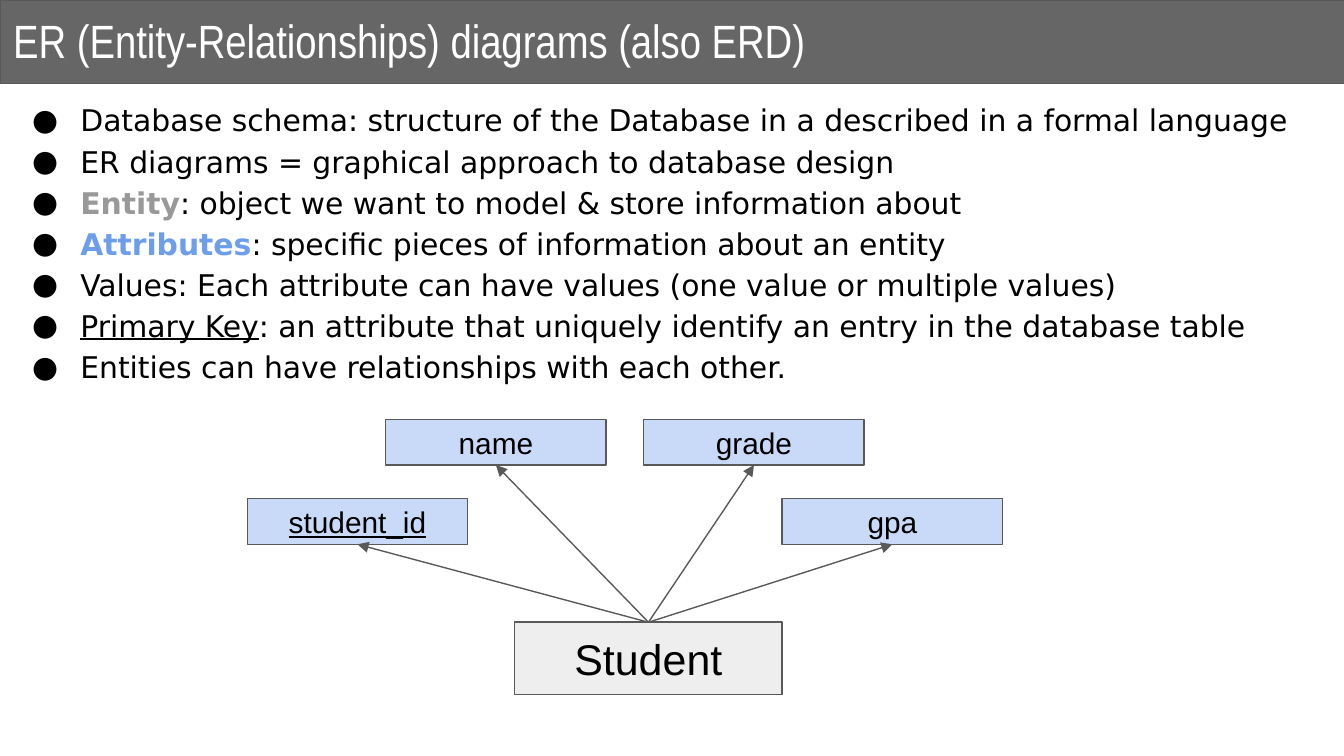
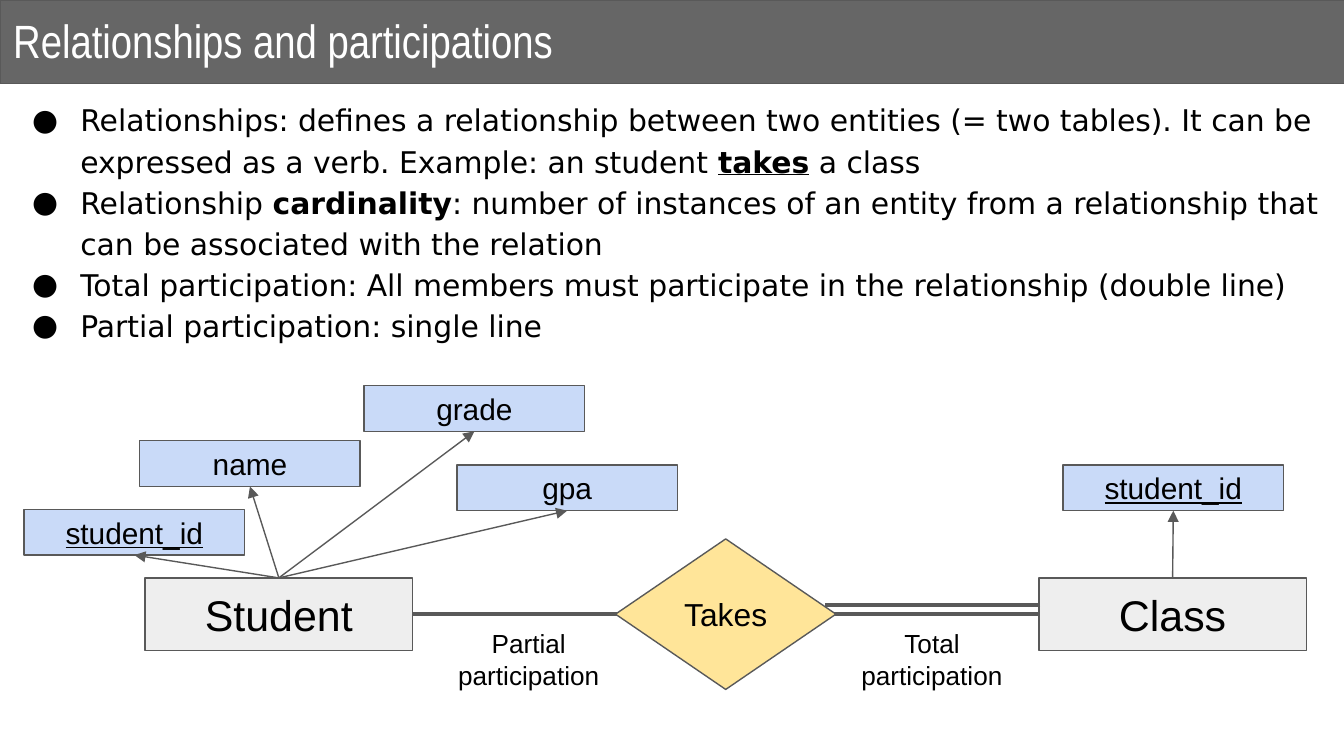
from lxml.etree import SubElement
from pptx import Presentation
from pptx.dml.color import RGBColor
from pptx.enum.shapes import MSO_CONNECTOR, MSO_SHAPE
from pptx.enum.text import MSO_ANCHOR, PP_ALIGN
from pptx.oxml.ns import qn
from pptx.util import Inches, Pt

BLACK = RGBColor(0x00, 0x00, 0x00)
WHITE = RGBColor(0xFF, 0xFF, 0xFF)
BAND_GRAY = RGBColor(0x66, 0x66, 0x66)
LINE_GRAY = RGBColor(0x59, 0x59, 0x59)
ENTITY_GRAY = RGBColor(0xEE, 0xEE, 0xEE)
ATTRIBUTE_BLUE = RGBColor(0xC9, 0xDA, 0xF8)
RELATION_YELLOW = RGBColor(0xFF, 0xE5, 0x99)
ENTITY_WORD = RGBColor(0x99, 0x99, 0x99)
ATTRIBUTE_WORD = RGBColor(0x6D, 0x9E, 0xEB)

BODY_FONT = "DejaVu Sans"
TOP, LEFT, BOTTOM, RIGHT = range(4)  # connection sites of a rectangle
ENTITY_SIZE = (1.99, 0.54)
ATTRIBUTE_SIZE = (1.64, 0.34)
KEY = "student_id"


def add_box(shapes, place, text="", size=16, fill=None, kind=MSO_SHAPE.RECTANGLE,
            font="Arial", color=BLACK, align=PP_ALIGN.CENTER):
    """Add an outlined shape with centred text, or a plain text box if there is no fill."""
    left, top, width, height = map(Inches, place)
    if fill is None:
        box = shapes.add_textbox(left, top, width, height)
    else:
        box = shapes.add_shape(kind, left, top, width, height)
        box.shadow.inherit = False
        box.fill.solid()
        box.fill.fore_color.rgb = fill
        box.line.color.rgb = LINE_GRAY
        box.line.width = Pt(0.75)
    frame = box.text_frame
    frame.word_wrap = True
    frame.vertical_anchor = MSO_ANCHOR.TOP if fill is None else MSO_ANCHOR.MIDDLE
    frame.margin_left = frame.margin_right = Inches(0.1)
    frame.margin_top = frame.margin_bottom = Inches(0.1)
    if text:
        paragraph = frame.paragraphs[0]
        paragraph.text = text
        paragraph.alignment = align
        paragraph.font.size = Pt(size)
        paragraph.font.name = font
        paragraph.font.color.rgb = color
        paragraph.font.underline = text == KEY
    return box


def add_line(shapes, start=(0, 0), end=(0, 0), width=2.25, arrow=False):
    line = shapes.add_connector(MSO_CONNECTOR.STRAIGHT, *map(Inches, start + end))
    line.line.color.rgb = LINE_GRAY
    line.line.width = Pt(width)
    if arrow:
        SubElement(line._element.spPr.find(qn("a:ln")), qn("a:tailEnd"), type="triangle")
    SubElement(line._element.spPr, qn("a:effectLst"))
    return line


# Each bullet is a list of runs: text, then optional font settings
slides = [
    {
        "title": "ER (Entity-Relationships) diagrams (also ERD)",
        "bullets_height": 2.24,
        "bullets": [
            [("Database schema: structure of the Database in a described in a formal language", {})],
            [("ER diagrams = graphical approach to database design", {})],
            [("Entity", {"bold": True, "color": ENTITY_WORD}),
             (": object we want to model & store information about", {})],
            [("Attributes", {"bold": True, "color": ATTRIBUTE_WORD}),
             (": specific pieces of information about an entity", {})],
            [("Values: Each attribute can have values (one value or multiple values)", {})],
            [("Primary Key", {"underline": True}),
             (": an attribute that uniquely identify an entry in the database table", {})],
            [("Entities can have relationships with each other.", {})],
        ],
        "entities": [
            ("Student", (3.83, 4.63), [("name", (2.87, 3.12)), ("grade", (4.79, 3.12)),
                                       ("gpa", (5.82, 3.71)), (KEY, (1.84, 3.71))]),
        ],
    },
    {
        "title": "Relationships and participations",
        "bullets_height": 2.06,
        "bullets": [
            [("Relationships: defines a relationship between two entities (= two tables). "
              "It can be expressed as a verb. Example: an student ", {}),
             ("takes", {"bold": True, "underline": True}), (" a class", {})],
            [("Relationship ", {}), ("cardinality", {"bold": True}),
             (": number of instances of an entity from a relationship that can be "
              "associated with the relation", {})],
            [("Total participation: All members must participate in the relationship "
              "(double line)", {})],
            [("Partial participation: single line", {})],
        ],
        "entities": [
            ("Student", (1.08, 4.3), [("name", (1.04, 3.28)), ("grade", (2.71, 2.87)),
                                      ("gpa", (3.4, 3.46)), (KEY, (0.18, 3.79))]),
            ("Class", (7.73, 4.3), [(KEY, (7.91, 3.46))]),
        ],
    },
]

presentation = Presentation()
presentation.slide_width = Inches(10)
presentation.slide_height = Inches(10 * 9 / 16)

for content in slides:
    slide = presentation.slides.add_slide(presentation.slide_layouts[6])
    shapes = slide.shapes

    # Bullets
    body = add_box(shapes, (0, 0.62, 10, content["bullets_height"])).text_frame
    for index, runs in enumerate(content["bullets"]):
        paragraph = body.add_paragraph() if index else body.paragraphs[0]
        paragraph.line_spacing = 1.15
        properties = paragraph._p.get_or_add_pPr()
        properties.set("marL", str(Inches(0.5)))
        properties.set("indent", str(Inches(-0.36)))
        bullet_color = SubElement(properties, qn("a:buClr"))
        SubElement(bullet_color, qn("a:srgbClr"), val=str(BLACK))
        SubElement(properties, qn("a:buSzPts"), val="1600")
        SubElement(properties, qn("a:buFont"), typeface=BODY_FONT)
        SubElement(properties, qn("a:buChar"), char="●")
        paragraph.font.size = Pt(16)
        paragraph.font.name = BODY_FONT
        for text, style in runs:
            run = paragraph.add_run()
            run.text = text
            run.font.bold = style.get("bold")
            run.font.underline = style.get("underline")
            run.font.color.rgb = style.get("color", BLACK)

    # Title band
    header = shapes.add_group_shape().shapes
    add_box(header, (0, 0, 10.01, 0.62), fill=BAND_GRAY)
    add_box(header, (0, -0.01, 8.85, 0.62), content["title"], 25,
            font="Arial Narrow", color=WHITE, align=PP_ALIGN.LEFT)

    # Entities with an arrow to each attribute
    entity_boxes = []
    for name, position, attributes in content["entities"]:
        entity = add_box(shapes, position + ENTITY_SIZE, name, 23, ENTITY_GRAY)
        entity_boxes.append(entity)
        for attribute_name, attribute_position in attributes:
            attribute = add_box(shapes, attribute_position + ATTRIBUTE_SIZE,
                                attribute_name, fill=ATTRIBUTE_BLUE)
            arrow = add_line(shapes, width=0.75, arrow=True)
            arrow.begin_connect(entity, TOP)
            arrow.end_connect(attribute, BOTTOM)

    # Relationship between two entities
    if len(entity_boxes) == 2:
        student, class_entity = entity_boxes
        participation = add_line(shapes)
        participation.begin_connect(class_entity, LEFT)
        participation.end_connect(student, RIGHT)
        add_box(shapes, (4.58, 4.01, 1.64, 1.12), "Takes", 17, RELATION_YELLOW,
                MSO_SHAPE.DIAMOND)
        for label, left in (("Partial participation", 3.21), ("Total participation", 6.21)):
            add_box(shapes, (left, 4.57, 1.45, 0.68), label, 14)
        add_line(shapes, (7.74, 4.5), (6.14, 4.5))

presentation.save("out.pptx")
